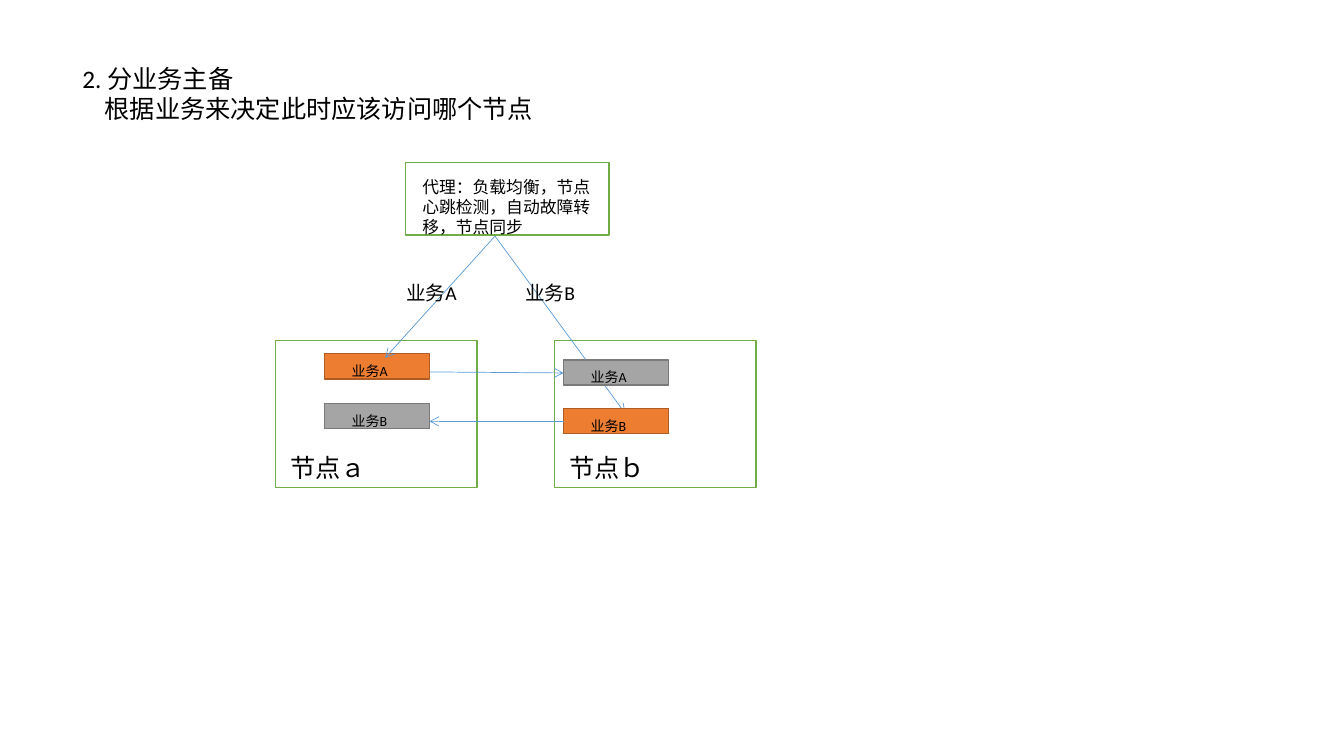
from lxml import etree
from pptx import Presentation
from pptx.dml.color import RGBColor
from pptx.enum.shapes import MSO_CONNECTOR, MSO_SHAPE
from pptx.enum.text import MSO_AUTO_SIZE
from pptx.oxml.ns import qn
from pptx.util import Inches, Pt

RECT = MSO_SHAPE.RECTANGLE
STRAIGHT = MSO_CONNECTOR.STRAIGHT
GROW = MSO_AUTO_SIZE.SHAPE_TO_FIT_TEXT
WHITE = RGBColor(0xFF, 0xFF, 0xFF)
BLACK = RGBColor(0x00, 0x00, 0x00)
GREEN = RGBColor(0x70, 0xAD, 0x47)
BLUE = RGBColor(0x5B, 0x9B, 0xD5)
ACTIVE = (RGBColor(0xED, 0x7D, 0x31), RGBColor(0xAF, 0x5C, 0x24))
STANDBY = (RGBColor(0xA5, 0xA5, 0xA5), RGBColor(0x7A, 0x7A, 0x7A))
FRAME = (WHITE, GREEN)


def add_box(shapes, box, colors):
    """Add a plain rectangle with the given fill and outline colours."""
    fill, line = colors
    sp = shapes.add_shape(RECT, *map(Inches, box))
    sp.shadow.inherit = False
    sp.fill.solid()
    sp.fill.fore_color.rgb = fill
    sp.line.color.rgb = line
    sp.line.width = Pt(1)
    return sp


def add_text(shapes, box, lines, size, wrap=True, indents=(0, 0)):
    """Add a text box with one paragraph per line, each with its own indent."""
    tf = shapes.add_textbox(*map(Inches, box)).text_frame
    tf.word_wrap = wrap
    tf.auto_size = GROW
    for i, (line, indent) in enumerate(zip(lines, indents)):
        p = tf.add_paragraph() if i else tf.paragraphs[0]
        if indent:
            p._p.get_or_add_pPr().set("marL", str(Inches(indent)))
        r = p.add_run()
        r.text = line
        for name, value in {"name": "Calibri", "size": Pt(size)}.items():
            setattr(r.font, name, value)
        r.font.color.rgb = BLACK


def add_arrow(shapes, start, end):
    """Add a thin blue arrow from start to end."""
    line = shapes.add_connector(STRAIGHT, *map(Inches, start + end))
    line.line.color.rgb = BLUE
    line.line.width = Pt(0.5)
    ln = line.line._get_or_add_ln()
    etree.SubElement(ln, qn("a:tailEnd"), type="arrow")
    etree.SubElement(line._element.spPr, qn("a:effectLst"))


def add_heading(shapes, x, y, w, h):
    """Add the numbered heading and its explanation."""
    lines = ["2. 分业务主备", "根据业务来决定此时应该访问哪个节点"]
    add_text(shapes, (x, y, w, h), lines, 18, indents=(0.45, 0.67))


def add_proxy(shapes, x, y, w, h):
    """Add the proxy box with its duties."""
    add_box(shapes, (x, y, w, h), FRAME)
    duties = ["代理：负载均衡，节点心跳检测，自动故障转移，节点同步"]
    add_text(shapes, (x + 0.07, y + 0.09, w - 0.07, h - 0.01), duties, 12)


def add_node(shapes, x, y, w, h, name):
    """Add a node frame with its name at the bottom left."""
    add_box(shapes, (x, y, w, h), FRAME)
    add_text(shapes, (x + 0.05, y + h - 0.4, 0.95, 0.4), [name], 18, wrap=False)


def add_services(shapes, x, y, step, services):
    """Stack the service bars of one node as groups of bar and label."""
    for i, (name, colors) in enumerate(services):
        top = y + i * step
        group = shapes.add_group_shape().shapes
        add_box(group, (x, top, 1.04, 0.25), colors)
        add_text(group, (x + 0.17, top + 0.04, 0.88, 0.27), [name], 10)


def add_routes(shapes):
    """Add the arrows from the proxy to the active services with their labels."""
    add_arrow(shapes, (4.93, 2.32), (3.82, 3.55))
    add_arrow(shapes, (4.9, 2.33), (6.2, 4.1))
    for x, name in ((3.93, "业务A"), (5.11, "业务B")):
        add_text(shapes, (x, 2.74, 0.72, 0.34), [name], 14)


def add_sync(shapes, left, right):
    """Add the replication arrows between the two nodes."""
    add_arrow(shapes, (left, 3.69), (right, 3.7))
    add_arrow(shapes, (right, 4.18), (left, 4.18))


def main():
    """Build the slide and save it."""
    prs = Presentation()
    prs.slide_width, prs.slide_height = Inches(13.33), Inches(7.5)
    s = prs.slides.add_slide(prs.slide_layouts[6])
    shapes = s.shapes
    add_node(shapes, 2.73, 3.38, 2, 1.46, "节点ａ")
    add_node(shapes, 5.5, 3.38, 2, 1.46, "节点ｂ")
    add_services(shapes, 3.22, 3.51, 0.49, [("业务A", ACTIVE), ("业务B", STANDBY)])
    add_routes(shapes)
    add_proxy(shapes, 4.02, 1.61, 2.02, 0.72)
    add_services(shapes, 5.59, 3.57, 0.48, [("业务A", STANDBY), ("业务B", ACTIVE)])
    add_sync(shapes, 4.26, 5.59)
    add_heading(shapes, 0.27, 0.58, 9.74, 0.71)
    prs.save("out.pptx")


if __name__ == "__main__":
    main()
